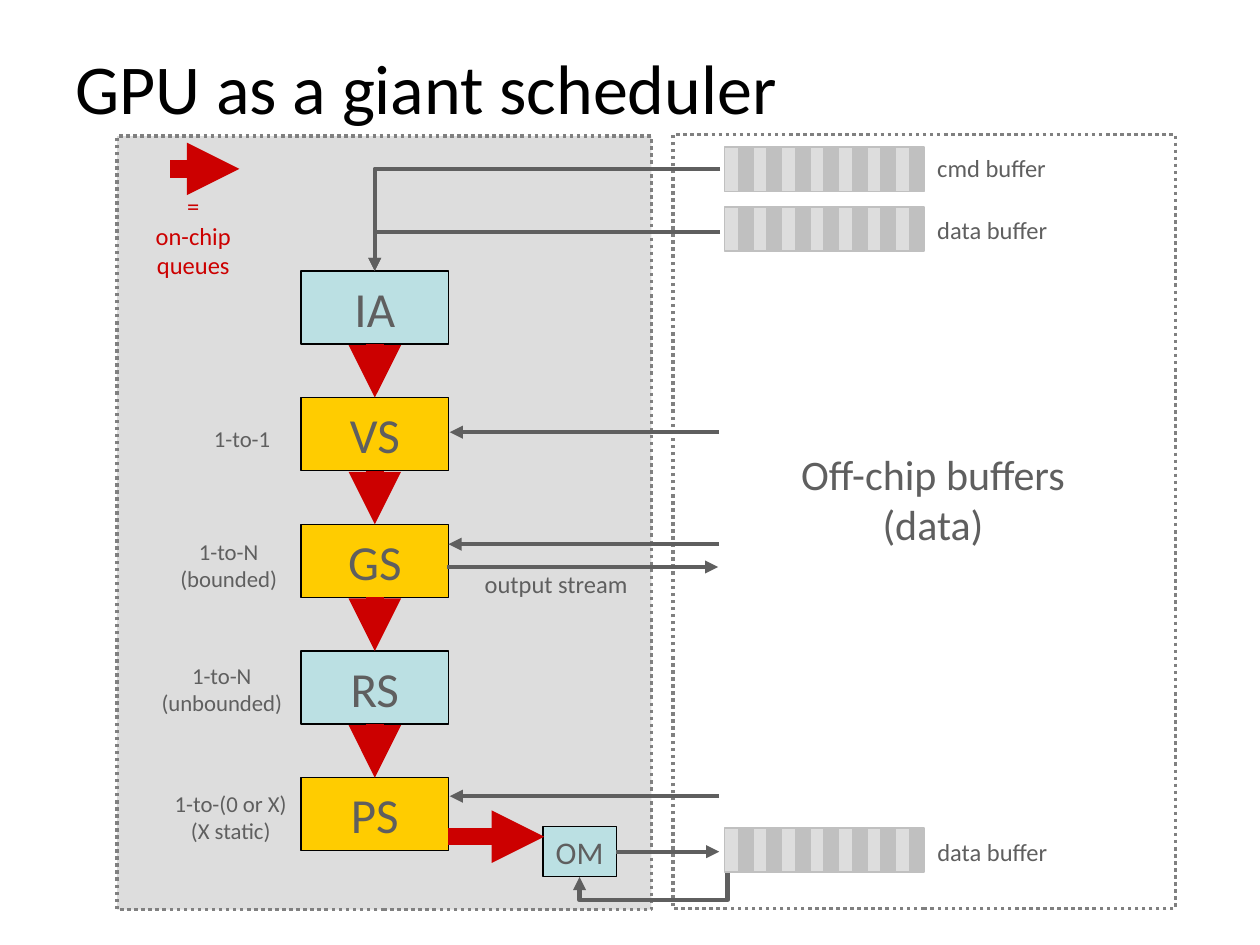
from lxml.etree import SubElement
from pptx import Presentation
from pptx.dml.color import RGBColor as RGB
from pptx.enum.dml import MSO_LINE as Dash
from pptx.enum.shapes import MSO_CONNECTOR as Conn, MSO_SHAPE as Kind
from pptx.enum.text import MSO_ANCHOR as Anchor, PP_ALIGN as Align
from pptx.oxml.ns import qn
from pptx.util import Pt

FONT = "Calibri"
GRAY, RED, BLACK = "5F5F5F", "CC0000", "000000"
BLUE, GOLD = "BBE0E3", "FFCC00"
PALE, SILVER, EDGE = "DDDDDD", "C0C0C0", "808080"
LEFT, MID = Align.LEFT, Align.CENTER

# Content: pipeline stages, top to bottom
STAGES = [("IA", BLUE), ("VS", GOLD), ("GS", GOLD), ("RS", BLUE), ("PS", GOLD)]

# Panels: left, top, width, height, fill
CHIP = (67, 77.8, 305.3, 442.1, PALE)
MEMORY = (384.5, 77, 287.3, 442.1, None)

# Labels: lines, left, top, width, height, size, colour, alignment
LABELS = [
    (["1-to-1"], 115.2, 239, 59.8, 23, 13, GRAY, LEFT),
    (["1-to-N", "(bounded)"], 84.2, 303.8, 92.9, 38.9, 13, GRAY, MID),
    (["1-to-N", "(unbounded)"], 75.6, 374.4, 102.2, 38.9, 13, GRAY, MID),
    (["1-to-(0 or X)", "(X static)"], 85.7, 447.8, 92.2, 38.9, 13, GRAY, MID),
    (["=", "on-chip", "queues"], 75.6, 105.8, 69.8, 57.6, 14, RED, MID),
    (["cmd buffer"], 528.5, 84.2, 91.4, 24.5, 14, GRAY, LEFT),
    (["data buffer"], 528.5, 119.5, 110.9, 24.5, 14, GRAY, LEFT),
    (["data buffer"], 528.5, 474.5, 140.4, 24.5, 14, GRAY, LEFT),
    (["output stream"], 253.4, 321.8, 128.9, 24.5, 14, GRAY, MID),
    (["Off-chip buffers", "(data)"], 425.5, 252.7, 215.3, 64.8, 24, GRAY, MID),
]

# Arrows: start x, y, end x, y
READS = [(411, 247, 257, 247), (411, 311, 256.3, 311), (411, 455, 257, 455)]
WRITE = (255.6, 324, 410.4, 324)
QUEUES = [(256.3, 478.1, 311, 478.1), (97.2, 96.5, 136.8, 96.5)]

# Buffer strips: shared grid and the top of each strip
STRIPS, CELLS = [84.2, 118.1, 473], 14
STRIP_X, CELL_W, CELL_H = 414, 8.15, 25.2

# Stage column
BOX_X, BOX_Y, BOX_W, BOX_H, STEP = 172.1, 154.8, 84.2, 41.8, 72.4
AXIS = BOX_X + BOX_W / 2


def tint(text):
    return RGB.from_string(text)


def write(shape, lines, size, color, align):
    frame = shape.text_frame
    for i, line in enumerate(lines):
        para = frame.paragraphs[0] if i == 0 else frame.add_paragraph()
        para.alignment = align
        run = para.add_run()
        run.text = line
        run.font.name, run.font.size = FONT, Pt(size)
        run.font.color.rgb = tint(color)


def label(lines, x, y, w, h, size, color, align, anchor=Anchor.TOP):
    box = slide.shapes.add_textbox(Pt(x), Pt(y), Pt(w), Pt(h))
    box.text_frame.word_wrap = True
    box.text_frame.vertical_anchor = anchor
    write(box, lines, size, color, align)


def rect(home, x, y, w, h, fill, edge, width):
    box = home.add_shape(Kind.RECTANGLE, Pt(x), Pt(y), Pt(w), Pt(h))
    box.shadow.inherit = False
    if fill:
        box.fill.solid()
        box.fill.fore_color.rgb = tint(fill)
    else:
        box.fill.background()
    box.line.color.rgb = tint(edge)
    box.line.width = Pt(width)
    return box


def panel(x, y, w, h, fill):
    rect(slide.shapes, x, y, w, h, fill, EDGE, 2).line.dash_style = Dash.ROUND_DOT


def stage(name, x, y, w, h, fill, size):
    box = rect(slide.shapes, x, y, w, h, fill, BLACK, 0.75)
    box.text_frame.word_wrap = False
    box.text_frame.vertical_anchor = Anchor.MIDDLE
    write(box, [name], size, GRAY, MID)
    return box


def arrow(x1, y1, x2, y2, color=GRAY, width=2.5, kind=Conn.STRAIGHT):
    link = slide.shapes.add_connector(kind, Pt(x1), Pt(y1), Pt(x2), Pt(y2))
    link.line.color.rgb = tint(color)
    link.line.width = Pt(width)
    SubElement(link.line._get_or_add_ln(), qn("a:tailEnd"), type="triangle")
    SubElement(link._element.spPr, qn("a:effectLst"))
    return link


def elbow(x1, y1, x2, y2, preset, bends=()):
    link = arrow(x1, y1, x2, y2, kind=Conn.ELBOW)
    geom = link._element.spPr.find(qn("a:prstGeom"))
    geom.set("prst", preset)
    guides = geom.find(qn("a:avLst"))
    for i, bend in enumerate(bends, 1):
        SubElement(guides, qn("a:gd"), name=f"adj{i}", fmla=f"val {bend}")


deck = Presentation()
deck.slide_width, deck.slide_height = Pt(720), Pt(540)
slide = deck.slides.add_slide(deck.slide_layouts[6])

# Panels and title
panel(*CHIP)
panel(*MEMORY)
label(["GPU as a giant scheduler"], 36, 21.6, 648, 56.2, 40, BLACK, LEFT,
      Anchor.MIDDLE)

# Stages, joined by on-chip queues
boxes = [stage(name, BOX_X, BOX_Y + i * STEP, BOX_W, BOX_H, fill, 28)
         for i, (name, fill) in enumerate(STAGES)]
for upper, lower in zip(boxes, boxes[1:]):
    link = arrow(AXIS, 0, AXIS, STEP, RED, 10)
    link.begin_connect(upper, 2)
    link.end_connect(lower, 0)
merger = stage("OM", 310.3, 472.3, 41.8, 28.8, BLUE, 18)
for queue in QUEUES:
    arrow(*queue, RED, 10)

# Traffic between chip and buffers
for line in READS + [WRITE]:
    arrow(*line)
arrow(352.1, 486.7, 411, 486.7).begin_connect(merger, 3)
for y in (96.5, 132.5):
    elbow(411.5, y, AXIS, BOX_Y, "bentConnector2")
elbow(478.8, 486, 331.2, 501.1, "bentConnector4", (42800, 187600))

# Buffer strips
for y in STRIPS:
    group = slide.shapes.add_group_shape().shapes
    for i in range(CELLS):
        rect(group, STRIP_X + i * CELL_W, y, CELL_W, CELL_H,
             SILVER if i % 2 else PALE, SILVER, 1)

for item in LABELS:
    label(*item)

deck.save("out.pptx")
